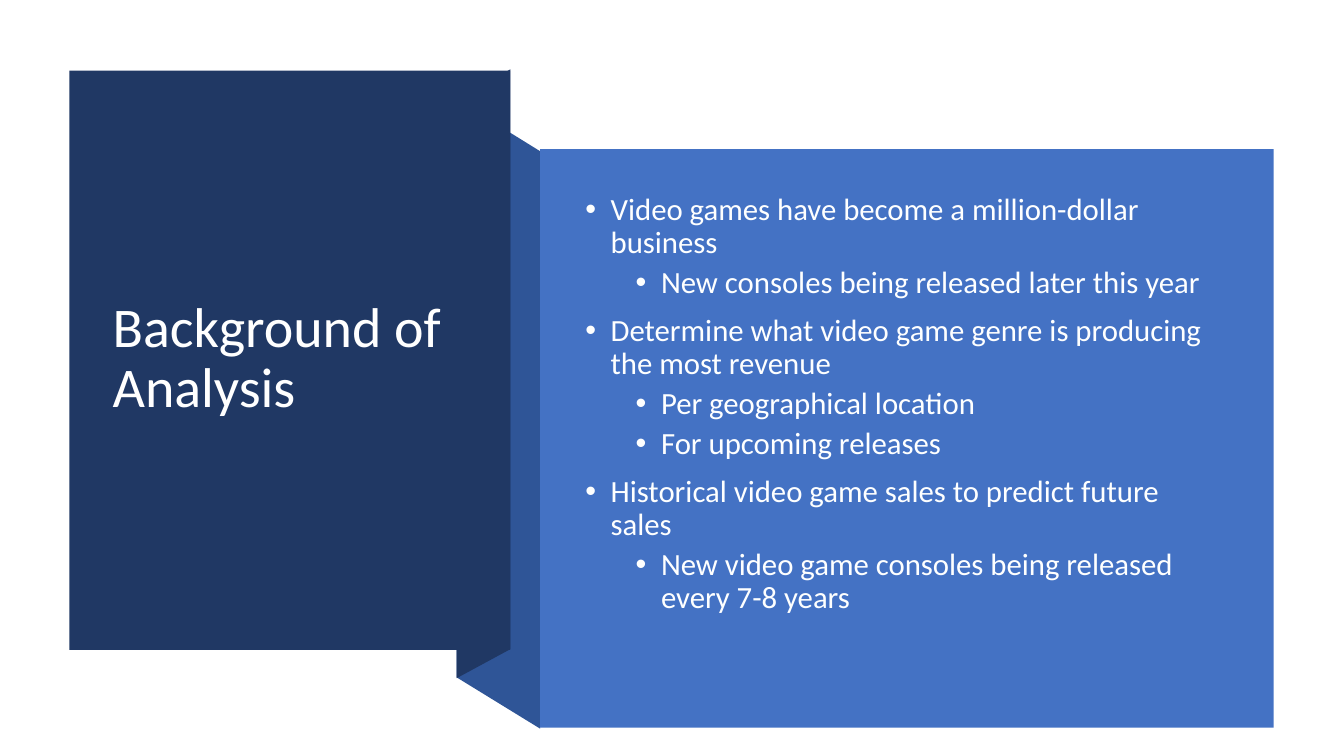
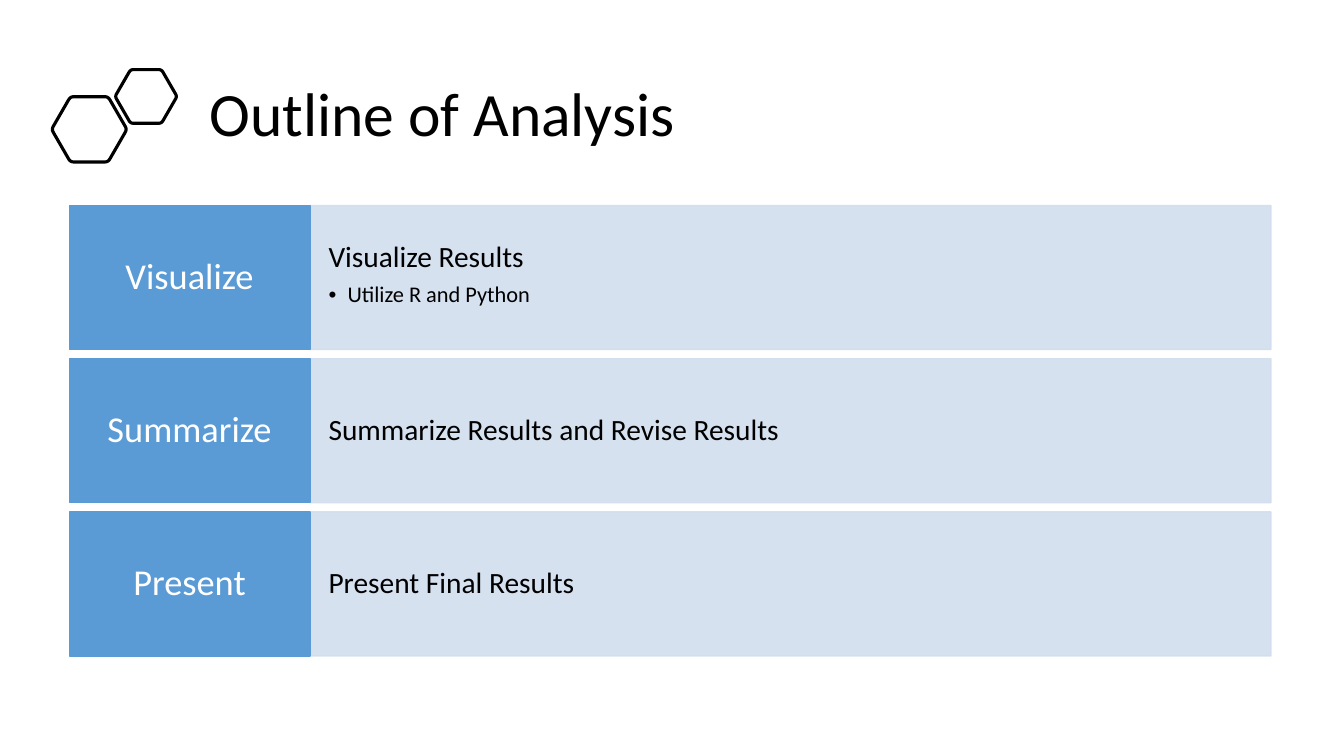
from math import cos, pi, sin

from lxml import etree
from pptx import Presentation
from pptx.dml.color import RGBColor
from pptx.enum.shapes import MSO_SHAPE
from pptx.enum.text import MSO_ANCHOR, PP_ALIGN
from pptx.oxml.ns import qn
from pptx.util import Cm, Pt

RECTANGLE = MSO_SHAPE.RECTANGLE
TOP, MIDDLE = MSO_ANCHOR.TOP, MSO_ANCHOR.MIDDLE
LEFT, CENTER = PP_ALIGN.LEFT, PP_ALIGN.CENTER

WHITE = RGBColor(0xFF, 0xFF, 0xFF)
OFF_WHITE = RGBColor(0xFE, 0xFF, 0xFF)
BLACK = RGBColor(0x00, 0x00, 0x00)
NAVY = RGBColor(0x20, 0x38, 0x64)
FOLD_BLUE = RGBColor(0x2F, 0x55, 0x97)
PANEL_BLUE = RGBColor(0x44, 0x72, 0xC4)
LABEL_BLUE = RGBColor(0x5B, 0x9B, 0xD5)
DETAIL_BLUE = RGBColor(0xD2, 0xDE, 0xEF)
FONT = "Calibri"

BACKGROUND_TITLE = "Background of Analysis"
BACKGROUND_POINTS = [
    (0, "Video games have become a million-dollar business"),
    (1, "New consoles being released later this year"),
    (0, "Determine what video game genre is producing the most revenue"),
    (1, "Per geographical location"),
    (1, "For upcoming releases"),
    (0, "Historical video game sales to predict future sales"),
    (1, "New video game consoles being released every 7-8 years"),
]
OUTLINE_TITLE = "Outline of Analysis"
OUTLINE_ROWS = [
    ("Visualize", ["Visualize Results", "Utilize R and Python"]),
    ("Summarize", ["Summarize Results and Revise Results"]),
    ("Present", ["Present Final Results"]),
]

FOLDS = [
    (FOLD_BLUE, [(13.61, 18.36), (11.51, 17.07), (11.51, 2.51), (13.61, 3.81)]),
    (NAVY, [(12.86, 16.36), (11.51, 17.09), (11.51, 2.49), (12.86, 1.75)]),
]
HEXAGONS = [(2.25, 3.26, 0.95), (3.68, 2.43, 0.78)]
CORNER_CUT = 0.09
CORNER_STEPS = 6

ROW_TOP, ROW_HEIGHT, ROW_PITCH = 5.18, 3.63, 3.86
LABEL_LEFT, LABEL_WIDTH = 1.75, 6.06
DETAIL_LEFT, DETAIL_WIDTH = 7.8, 24.23

TITLE = {"size": 40, "color": WHITE}
POINT_LEVELS = [
    {"size": 22, "color": OFF_WHITE, "before": 10, "margin": 0.64, "hanging": 0.64},
    {"size": 22, "color": OFF_WHITE, "before": 5, "margin": 1.91, "hanging": 0.64},
]
LABEL = {"size": 26, "color": WHITE, "after": 9.1, "align": CENTER}
DETAIL_LEVELS = [
    {"size": 21, "color": BLACK, "after": 7.35},
    {"size": 16, "color": BLACK, "after": 2.4, "margin": 0.48, "hanging": 0.48},
]


def add_bullet(paragraph, margin, hanging):
    properties = paragraph._p.get_or_add_pPr()
    properties.set("marL", str(Cm(margin)))
    properties.set("indent", str(-Cm(hanging)))
    etree.SubElement(properties, qn("a:buFont")).set("typeface", "Arial")
    etree.SubElement(properties, qn("a:buChar")).set("char", "•")


def write(shape, lines, anchor=MIDDLE, insets=(0.25, 0.13)):
    frame = shape.text_frame
    horizontal, vertical = map(Cm, insets)
    frame_format = {
        "word_wrap": True,
        "vertical_anchor": anchor,
        "margin_left": horizontal,
        "margin_right": horizontal,
        "margin_top": vertical,
        "margin_bottom": vertical,
    }
    for name, value in frame_format.items():
        setattr(frame, name, value)
    for index, (text, style) in enumerate(lines):
        paragraph = frame.add_paragraph() if index else frame.paragraphs[0]
        paragraph_format = {
            "alignment": style.get("align", LEFT),
            "line_spacing": 0.9,
            "space_before": Pt(style.get("before", 0)),
            "space_after": Pt(style.get("after", 0)),
        }
        for name, value in paragraph_format.items():
            setattr(paragraph, name, value)
        if "hanging" in style:
            add_bullet(paragraph, style["margin"], style["hanging"])
        run = paragraph.add_run()
        run.text = text
        run.font.name = FONT
        run.font.size = Pt(style["size"])
        run.font.color.rgb = style["color"]


def add_text(slide, box, lines):
    write(slide.shapes.add_textbox(*map(Cm, box)), lines)


def paint(shape, fill=None, line=None, width=1, opacity=100):
    shape.shadow.inherit = False
    for target, color in ((shape.fill, fill), (shape.line.fill, line)):
        if color is None:
            target.background()
        else:
            target.solid()
            target.fore_color.rgb = color
    if line is not None:
        shape.line.width = Pt(width)
    if opacity < 100:
        for color in shape.element.spPr.iter(qn("a:srgbClr")):
            etree.SubElement(color, qn("a:alpha")).set("val", str(opacity * 1000))


def add_rectangle(slide, box, fill, **look):
    shape = slide.shapes.add_shape(RECTANGLE, *map(Cm, box))
    paint(shape, fill, **look)
    return shape


def add_polygon(shapes, points, **look):
    start, *others = [(Cm(x), Cm(y)) for x, y in points]
    builder = shapes.build_freeform(*start)
    builder.add_line_segments(others, close=True)
    paint(builder.convert_to_shape(), **look)


def rounded_hexagon(center_x, center_y, radius):
    corners = [
        (center_x + radius * cos(i * pi / 3), center_y + radius * sin(i * pi / 3))
        for i in range(6)
    ]
    points = []
    for i, corner in enumerate(corners):
        neighbours = corners[i - 1], corners[(i + 1) % 6]
        for step in range(CORNER_STEPS + 1):
            t = step / CORNER_STEPS
            weights = CORNER_CUT * (1 - t) ** 2, CORNER_CUT * t ** 2
            points.append(tuple(
                corner[axis] + sum(
                    weight * (neighbour[axis] - corner[axis])
                    for weight, neighbour in zip(weights, neighbours)
                )
                for axis in (0, 1)
            ))
    return points


def build_background(slide):
    for color, points in FOLDS:
        add_polygon(slide.shapes, points, fill=color)
    add_rectangle(slide, (1.75, 1.78, 11.11, 14.6), NAVY)
    add_text(slide, (2.59, 2.72, 9.42, 12.67), [(BACKGROUND_TITLE, TITLE)])
    add_rectangle(slide, (13.61, 3.76, 18.49, 14.58), PANEL_BLUE)
    points = [(text, POINT_LEVELS[level]) for level, text in BACKGROUND_POINTS]
    add_text(slide, (14.5, 4.78, 16.54, 10.84), points)


def build_outline(slide):
    title = {**TITLE, "size": 44, "color": BLACK}
    add_text(slide, (5.03, 1.45, 27.46, 2.97), [(OUTLINE_TITLE, title)])
    hexagons = slide.shapes.add_group_shape().shapes
    for hexagon in HEXAGONS:
        add_polygon(hexagons, rounded_hexagon(*hexagon), line=BLACK, width=2.25)
    for index, (label, details) in enumerate(OUTLINE_ROWS):
        top = ROW_TOP + index * ROW_PITCH
        detail_box = add_rectangle(
            slide, (DETAIL_LEFT, top, DETAIL_WIDTH, ROW_HEIGHT),
            DETAIL_BLUE, line=DETAIL_BLUE, opacity=90,
        )
        anchor = TOP if len(details) > 1 else MIDDLE
        write(detail_box, list(zip(details, DETAIL_LEVELS)), anchor, (0.48, 0.91))
        label_box = add_rectangle(
            slide, (LABEL_LEFT, top, LABEL_WIDTH, ROW_HEIGHT),
            LABEL_BLUE, line=LABEL_BLUE,
        )
        write(label_box, [(label, LABEL)], insets=(0.33, 0.36))


def main():
    presentation = Presentation()
    presentation.slide_width = Cm(33.87)
    presentation.slide_height = Cm(19.05)
    blank = presentation.slide_layouts[6]
    for build in (build_background, build_outline):
        build(presentation.slides.add_slide(blank))
    presentation.save("out.pptx")


if __name__ == "__main__":
    main()
